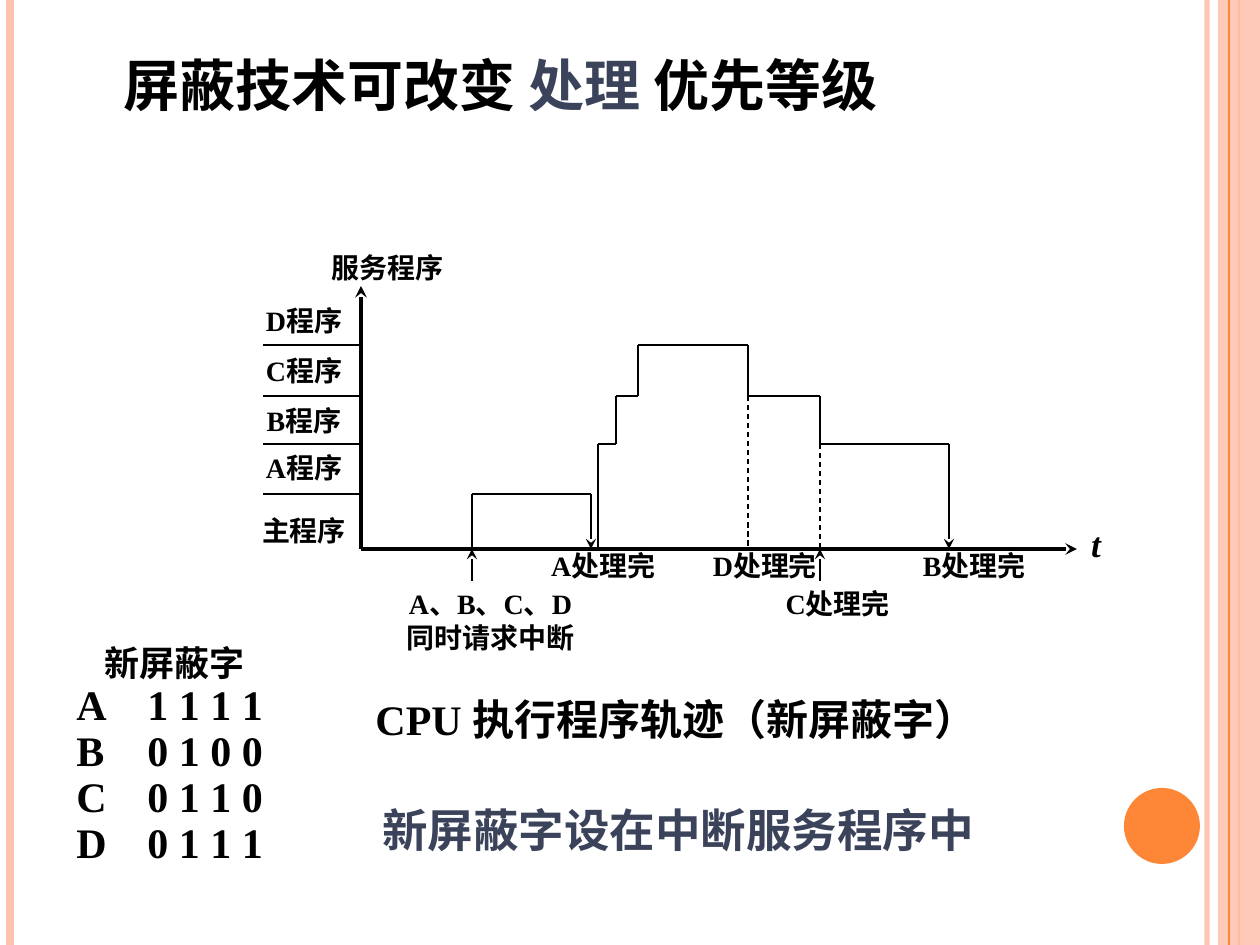
from itertools import pairwise

from lxml.etree import SubElement
from pptx import Presentation
from pptx.dml.color import RGBColor
from pptx.enum.dml import MSO_LINE
from pptx.enum.shapes import MSO_CONNECTOR, MSO_SHAPE
from pptx.enum.text import MSO_ANCHOR, MSO_AUTO_SIZE, PP_ALIGN
from pptx.oxml.ns import qn
from pptx.util import Emu, Pt

BLACK, NAVY, ORANGE, PEACH = "000000", "3B435B", "FE8637", "FEC3AE"
LATIN, CHINESE = "Times New Roman", "Noto Sans CJK SC"
WIDTH, HEIGHT = 1260, 945

TITLE = [("屏蔽技术可改变 ", BLACK), ("处理 ", NAVY), ("优先等级", BLACK)]
CONCLUSION = "新屏蔽字设在中断服务程序中"
CAPTION = "CPU 执行程序轨迹（新屏蔽字）"
MASK_HEADING = "新屏蔽字"
MASKS = [("A", "1 1 1 1"), ("B", "0 1 0 0"), ("C", "0 1 1 0"), ("D", "0 1 1 1")]

STRIPES = [(1207, PEACH, 3, 93), (10, PEACH, 4.5, 100), (1239, ORANGE, 1.5, 100)]
PROGRAMS = [("主程序", 514), ("A程序", 451), ("B程序", 404), ("C程序", 354), ("D程序", 304)]
CHART_LABELS = [
    ("服务程序", 314, 251, 147, 49),
    ("D处理完", 702, 549, 126, 48),
    ("C处理完", 777, 587, 121, 42),
    ("B处理完", 902, 549, 144, 58),
    ("A处理完", 537, 549, 132, 48),
    ("A、B、C、D\n同时请求中断", 391, 587, 199, 71),
]

AXIS_X, AXIS_Y = 361, 549
LEVEL = {"A": 494, "B": 444, "C": 396, "D": 345}
REQUEST, A_DONE, B_START, C_START, D_START = 472, 591, 598, 616, 638
D_DONE, C_DONE, B_DONE = 748, 820, 949
TRACES = [
    [(REQUEST, AXIS_Y), (REQUEST, LEVEL["A"]), (A_DONE, LEVEL["A"]), (A_DONE, AXIS_Y)],
    [
        (B_START, AXIS_Y), (B_START, LEVEL["B"]), (C_START, LEVEL["B"]),
        (C_START, LEVEL["C"]), (D_START, LEVEL["C"]), (D_START, LEVEL["D"]),
        (D_DONE, LEVEL["D"]), (D_DONE, LEVEL["C"]), (C_DONE, LEVEL["C"]),
        (C_DONE, LEVEL["B"]), (B_DONE, LEVEL["B"]), (B_DONE, AXIS_Y),
    ],
]


def px(value):
    return Emu(round(value * 914400 / 126))


def color(text):
    return RGBColor.from_string(text)


def set_alpha(element, percent):
    if percent < 100:
        choice = next(element.iter(qn("a:srgbClr")))
        SubElement(choice, qn("a:alpha"), val=str(percent * 1000))


def add_line(page, start, end, weight, tint=BLACK, alpha=100, arrow=False, dashed=False):
    line = page.shapes.add_connector(
        MSO_CONNECTOR.STRAIGHT, *(px(value) for value in (*start, *end))
    )
    line.line.color.rgb = color(tint)
    line.line.width = Pt(weight)
    if dashed:
        line.line.dash_style = MSO_LINE.DASH
    properties = line.element.spPr
    set_alpha(properties, alpha)
    if arrow:
        SubElement(properties.find(qn("a:ln")), qn("a:tailEnd"), type="stealth")
    SubElement(properties, qn("a:effectLst"))


def add_shape(page, kind, place, fill, alpha=100):
    shape = page.shapes.add_shape(kind, *(px(value) for value in place))
    shape.shadow.inherit = False
    shape.fill.solid()
    shape.fill.fore_color.rgb = color(fill)
    shape.line.fill.background()
    set_alpha(shape.element.spPr, alpha)


def style(span, size, tint=BLACK, italic=False):
    span.font.name = LATIN
    span.font.size = Pt(size)
    span.font.bold = True
    span.font.italic = italic
    span.font.color.rgb = color(tint)
    latin = span.font._element.find(qn("a:latin"))
    east_asian = latin.makeelement(qn("a:ea"), {"typeface": CHINESE})
    latin.addnext(east_asian)


def set_frame(box, inset=True, anchor=MSO_ANCHOR.TOP):
    frame = box.text_frame
    frame.word_wrap = True
    frame.auto_size = MSO_AUTO_SIZE.NONE
    frame.vertical_anchor = anchor
    if not inset:
        frame.margin_left = frame.margin_top = frame.margin_right = frame.margin_bottom = 0
    return frame


def add_text(page, text, place, size, tint=BLACK, align=PP_ALIGN.LEFT,
             inset=False, anchor=MSO_ANCHOR.TOP, italic=False):
    box = page.shapes.add_textbox(*(px(value) for value in place))
    frame = set_frame(box, inset, anchor)
    frame.text = text
    for paragraph in frame.paragraphs:
        paragraph.alignment = align
        for span in paragraph.runs:
            style(span, size, tint, italic)
    return frame


def add_background(page):
    for x, tint, weight, alpha in STRIPES:
        add_line(page, (x, 0), (x, HEIGHT), weight, tint, alpha)
    add_shape(page, MSO_SHAPE.RECTANGLE, (1218, 0, 42, HEIGHT), PEACH, 87)
    add_line(page, (1229, 0), (1229, HEIGHT), 0.75, ORANGE)
    add_shape(page, MSO_SHAPE.OVAL, (1124, 788, 76, 76), ORANGE)


def add_title(page):
    title = page.shapes.title
    title.left, title.top, title.width, title.height = (px(v) for v in (123, 55, 964, 59))
    frame = set_frame(title, inset=False, anchor=MSO_ANCHOR.MIDDLE)
    paragraph = frame.paragraphs[0]
    paragraph.alignment = PP_ALIGN.LEFT
    for text, tint in TITLE:
        span = paragraph.add_run()
        span.text = text
        style(span, 32, tint)


def add_timeline(page):
    for text, *place in CHART_LABELS:
        add_text(page, text, place, 16, align=PP_ALIGN.CENTER)
    for text, top in PROGRAMS:
        add_text(page, text, (253, top, 102, 45), 16, align=PP_ALIGN.CENTER)
    add_text(page, "t", (1067, 522, 58, 45), 20, align=PP_ALIGN.CENTER, italic=True)

    add_line(page, (AXIS_X, AXIS_Y), (1077, AXIS_Y), 2.25, arrow=True)
    add_line(page, (AXIS_X, AXIS_Y), (AXIS_X, 286), 2.25, arrow=True)
    for y in LEVEL.values():
        add_line(page, (263, y), (AXIS_X, y), 0.75)
    for trace in TRACES:
        for start, end in pairwise(trace):
            add_line(page, start, end, 1.5, arrow=end == trace[-1])
    for x in (REQUEST, C_DONE):
        add_line(page, (x, 581), (x, AXIS_Y), 0.75, arrow=True)
    for x, level in ((D_DONE, "C"), (C_DONE, "B")):
        add_line(page, (x, LEVEL[level]), (x, AXIS_Y), 0.75, dashed=True)


def add_masks(page):
    rows = ["\t".join(row) for row in MASKS]
    frame = add_text(page, "\n".join([MASK_HEADING, *rows]), (64, 635, 258, 260), 24, inset=True)
    heading, *lines = frame.paragraphs
    heading._p.get_or_add_pPr().set("marL", str(px(28)))
    heading.runs[0].font.size = Pt(20)
    for paragraph in lines:
        paragraph.line_spacing = Pt(26.3)
        tabs = SubElement(paragraph._p.get_or_add_pPr(), qn("a:tabLst"))
        SubElement(tabs, qn("a:tab"), pos=str(px(71)), algn="l")


def main():
    deck = Presentation()
    deck.slide_width, deck.slide_height = px(WIDTH), px(HEIGHT)
    page = deck.slides.add_slide(deck.slide_layouts[5])
    add_background(page)
    add_title(page)
    add_timeline(page)
    add_text(page, CAPTION, (363, 687, 714, 63), 24, inset=True)
    add_masks(page)
    add_text(page, CONCLUSION, (382, 800, 964, 59), 26, NAVY, anchor=MSO_ANCHOR.MIDDLE)
    deck.save("out.pptx")


if __name__ == "__main__":
    main()
